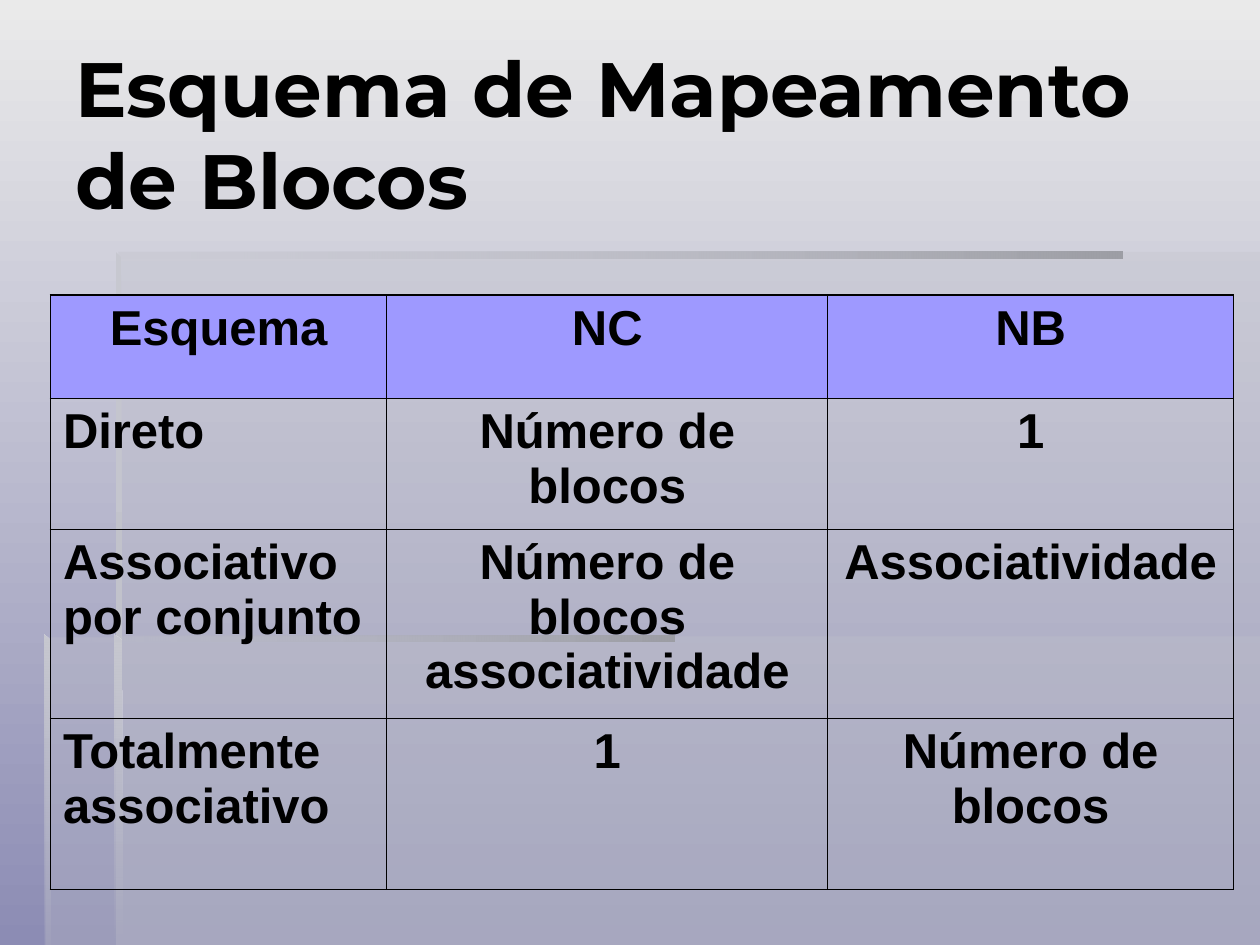
"""Builds a slide with a table of block mapping schemes."""
from lxml.etree import SubElement
from pptx import Presentation
from pptx.dml.color import RGBColor
from pptx.enum.text import MSO_ANCHOR, MSO_AUTO_SIZE, PP_ALIGN
from pptx.oxml.ns import qn
from pptx.util import Inches, Pt


def colour(hex_text):
    return RGBColor.from_string(hex_text)


def paint(item, fill, stops, angle):
    if len(stops) == 1:
        fill.solid()
        fill.fore_color.rgb = colour(stops[0][0])
    else:
        fill.gradient()
        fill.gradient_angle = angle
        for place, (stop, (shade, opacity)) in enumerate(zip(fill.gradient_stops, stops)):
            stop.color.rgb = colour(shade)
            stop.position = place
    for node, (shade, opacity) in zip(item.element.iter(qn("a:srgbClr")), stops):
        if opacity < 100:
            SubElement(node, qn("a:alpha"), val=str(opacity * 1000))


HUNDREDTH = 9144
DOWN, LEFTWARD = 270, 180
PANEL = [("C1C2CB", 30)]
BAR = [("9D9EA5", 100), ("C1C2CB", 0)]

deck = Presentation()
deck.slide_width, deck.slide_height = Inches(10), Inches(7.5)
page = deck.slides.add_slide(deck.slide_layouts[5])
paint(page, page.background.fill, [("EAEAEA", 100), ("8C8CB4", 100)], DOWN)

decorations = [
    ([(92, 505), (92, 750), (1000, 750), (1000, 505)], PANEL, DOWN),
    ([(94, 506), (36, 506), (36, 750), (1000, 750), (1000, 200), (94, 200)], PANEL, DOWN),
    ([(92, 200), (92, 205), (891, 205), (891, 200)], BAR, LEFTWARD),
    ([(92, 200), (92, 510), (97, 510), (96, 204)], [("C7C8D0", 100), ("C1C2CB", 100)], DOWN),
    ([(91, 750), (97, 750), (96, 508), (91, 504)], [("C7C8D0", 100), ("C1C2CB", 0)], DOWN),
    ([(35, 504), (35, 509), (535, 509), (535, 504)], BAR, LEFTWARD),
    ([(35, 504), (35, 750), (40, 750), (40, 509)], [("C7C8D0", 100), ("C1C2CB", 10)], DOWN),
]
for corners, stops, angle in decorations:
    outline = page.shapes.build_freeform(*corners[0], scale=HUNDREDTH)
    outline.add_line_segments(corners[1:], close=True)
    decoration = outline.convert_to_shape()
    decoration.shadow.inherit = False
    decoration.line.fill.background()
    paint(decoration, decoration.fill, stops, angle)

title = page.shapes.title
title.left, title.top = Inches(0.5), Inches(0.27)
title.width, title.height = Inches(9.17), Inches(1.57)
title.text_frame.auto_size = MSO_AUTO_SIZE.NONE
title.text_frame.vertical_anchor = MSO_ANCHOR.MIDDLE
para = title.text_frame.paragraphs[0]
para.alignment = PP_ALIGN.LEFT
span = para.add_run()
span.text = "Esquema de Mapeamento de Blocos"
span.font.name, span.font.size, span.font.bold = "Montserrat", Pt(44), True
span.font.color.rgb = colour("000000")

rows = [
    (0.82, ["Esquema", "NC", "NB"]),
    (1.04, ["Direto", "Número de blocos", "1"]),
    (1.5, ["Associativo\npor conjunto", "Número de blocos\nassociatividade", "Associatividade"]),
    (1.36, ["Totalmente\nassociativo", "1", "Número de blocos"]),
]
widths = [2.67, 3.5, 3.22]
last_row, last_column = len(rows) - 1, len(widths) - 1
table = page.shapes.add_table(len(rows), len(widths), Inches(0.4), Inches(2.34),
                              Inches(sum(widths)), Inches(4.72)).table
table.first_row = table.horz_banding = False
for column, width in zip(table.columns, widths):
    column.width = Inches(width)

for row, (height, texts) in enumerate(rows):
    table.rows[row].height = Inches(height)
    for column, text in enumerate(texts):
        cell = table.cell(row, column)
        properties = cell._tc.get_or_add_tcPr()
        outer_edges = {"a:lnL": column == 0, "a:lnR": column == last_column,
                       "a:lnT": row == 0, "a:lnB": row == last_row}
        for edge, is_outer in outer_edges.items():
            border = SubElement(properties, qn(edge), w=str(Pt(1.08 if is_outer else 0.45)))
            SubElement(SubElement(border, qn("a:solidFill")), qn("a:srgbClr"), val="000000")
        if row == 0:
            cell.fill.solid()
            cell.fill.fore_color.rgb = colour("9E99FF")
        else:
            cell.fill.background()
        frame = cell.text_frame
        for position, line in enumerate(text.split("\n")):
            para = frame.add_paragraph() if position else frame.paragraphs[0]
            para.alignment = PP_ALIGN.LEFT if row and column == 0 else PP_ALIGN.CENTER
            span = para.add_run()
            span.text = line
            span.font.name, span.font.size, span.font.bold = "Arial", Pt(28), True
            span.font.color.rgb = colour("000000")

deck.save("out.pptx")
